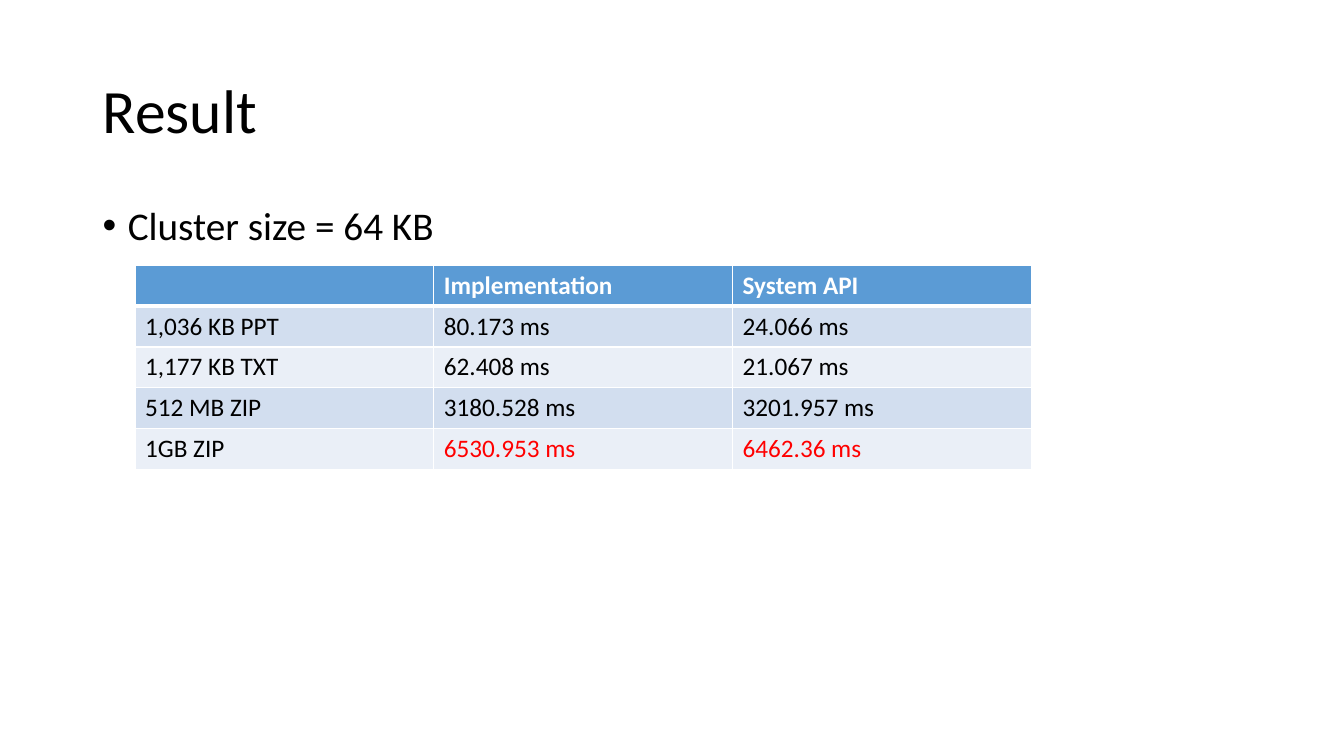
import pptx
import pptx.dml.color
import pptx.enum.text
import pptx.oxml
import pptx.oxml.ns
import pptx.util
from pptx.util import Inches

WHITE, BLACK, RED = "FFFFFF", "000000", "FF0000"
HEADER, BANDS = "5B9BD5", ("D2DEEF", "EAEFF7")
RESULTS = [
    ("", "Implementation", "System API"),
    ("1,036 KB PPT", "80.173 ms", "24.066 ms"),
    ("1,177 KB TXT", "62.408 ms", "21.067 ms"),
    ("512 MB ZIP", "3180.528 ms", "3201.957 ms"),
    ("1GB ZIP", "6530.953 ms", "6462.36 ms"),
]


def color(value):
    """Turn a hex string into an RGB colour."""
    return pptx.dml.color.RGBColor.from_string(value)


def write(p, text, size, fill=BLACK, bold=False):
    """Add a formatted run to a paragraph."""
    r = p.add_run()
    r.text = text
    formats = {"name": "Calibri", "size": pptx.util.Pt(size), "bold": bold}
    for name, value in formats.items():
        setattr(r.font, name, value)
    r.font.color.rgb = color(fill)


def add_text(s, box, text, size, anchor, **spacing):
    """Add a one-paragraph text box and return its paragraph."""
    tf = s.shapes.add_textbox(*map(Inches, box)).text_frame
    tf.word_wrap = True
    tf.vertical_anchor = anchor
    p = tf.paragraphs[0]
    for name, value in {"line_spacing": 0.9, **spacing}.items():
        setattr(p, name, value)
    write(p, text, size)
    return p


def add_bullet(p, indent):
    """Give a paragraph a hanging bullet."""
    pPr = p._p.get_or_add_pPr()
    pPr.set("marL", str(Inches(indent)))
    pPr.set("indent", str(Inches(-indent)))
    ns = pptx.oxml.ns.nsdecls("a")
    pPr.append(pptx.oxml.parse_xml(f'<a:buFont {ns} typeface="Arial"/>'))
    pPr.append(pptx.oxml.parse_xml(f'<a:buChar {ns} char="•"/>'))


def set_borders(cell, widths):
    """Draw white cell borders with the given widths in points."""
    tcPr = cell._tc.get_or_add_tcPr()
    ns = pptx.oxml.ns.nsdecls("a")
    for side, width in widths.items():
        tcPr.append(pptx.oxml.parse_xml(
            f'<a:ln{side} {ns} w="{pptx.util.Pt(width)}"><a:solidFill>'
            f'<a:srgbClr val="{WHITE}"/></a:solidFill></a:ln{side}>'))


def add_results(s, box, rows):
    """Add the banded table of timings, with the last row's times in red."""
    shape = s.shapes.add_table(len(rows), len(rows[0]), *map(Inches, box))
    for i, row in enumerate(rows):
        for j, text in enumerate(row):
            cell = shape.table.cell(i, j)
            set_borders(cell, {"L": 1, "R": 1, "T": 3 if i == 1 else 1,
                               "B": 3 if i == 0 else 1})
            cell.fill.solid()
            cell.fill.fore_color.rgb = color(BANDS[(i - 1) % 2] if i else HEADER)
            if text:
                is_last = i == len(rows) - 1 and j > 0
                fill = WHITE if i == 0 else RED if is_last else BLACK
                write(cell.text_frame.paragraphs[0], text, 18, fill, i == 0)


def main():
    """Build the result slide."""
    prs = pptx.Presentation()
    prs.slide_width, prs.slide_height = Inches(13.33), Inches(7.5)
    s = prs.slides.add_slide(prs.slide_layouts[6])
    anchors = pptx.enum.text.MSO_ANCHOR
    add_text(s, (0.92, 0.4, 11.5, 1.45), "Result", 44, anchors.MIDDLE)
    p = add_text(s, (0.92, 2, 11.5, 0.63), "Cluster size = 64 KB", 28,
                 anchors.TOP, space_before=pptx.util.Pt(10))
    add_bullet(p, 0.25)
    add_results(s, (1.34, 2.63, 8.89, 2.03), RESULTS)
    prs.save("out.pptx")


if __name__ == "__main__":
    main()
